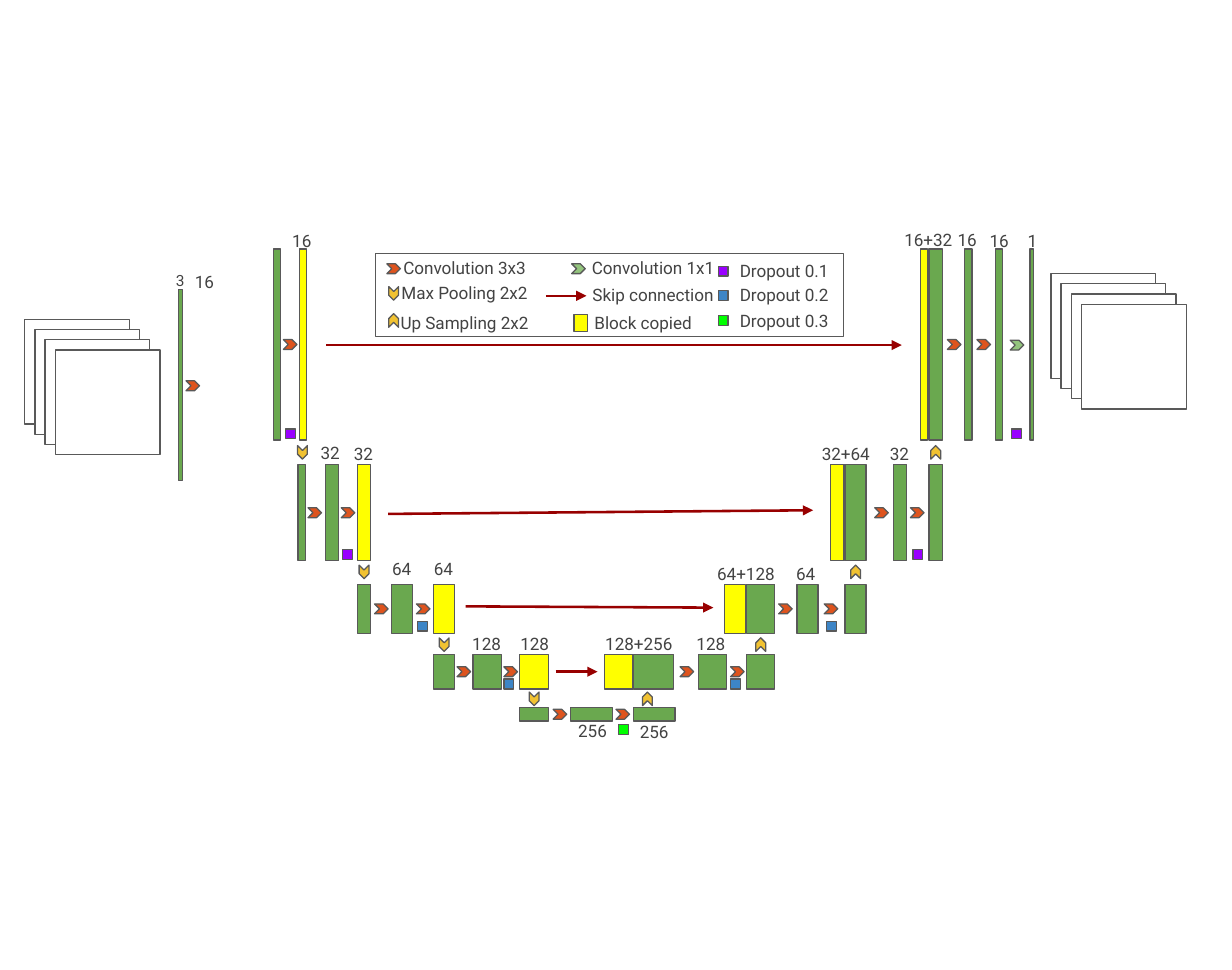
from pptx import Presentation
from pptx.util import Inches, Pt
from pptx.dml.color import RGBColor
from pptx.enum.shapes import MSO_SHAPE, MSO_CONNECTOR
from pptx.enum.text import MSO_ANCHOR, PP_ALIGN
from lxml import etree

HUES = {
    "green": "6AA84F", "yellow": "FFFF00", "orange": "DE541E", "gold": "F1C232",
    "light": "93C47D", "purple": "9900FF", "blue": "3D85C6", "lime": "00FF00",
    "white": "FFFFFF", "edge": "595959", "text": "434343", "skip": "980000",
}
FONT = "Roboto"
CHEV_W, CHEV_H, DOT = 0.11, 0.08, 0.08
LABEL_H = 0.23
LABEL_W = {1: 0.46, 2: 0.46, 3: 0.46, 5: 0.61, 6: 0.67, 7: 0.85}

# Network levels: blocks (left, width), convolutions (left), dropouts (left),
# labels (left, top, text)
LEVELS = [
    dict(top=2.02, high=1.55,
         green=[(2.22, 0.06), (7.54, 0.11), (7.83, 0.06), (8.08, 0.06), (8.36, 0.03)],
         yellow=[(2.43, 0.06), (7.47, 0.06)],
         convs=[2.3, 7.69, 7.93], drop=("purple", 3.48, [2.32, 8.21]),
         labels=[(2.22, 1.84, "16"), (7.23, 1.83, "16+32"), (7.62, 1.83, "16"),
                 (7.88, 1.84, "16"), (8.15, 1.84, "1")]),
    dict(top=3.77, high=0.78,
         green=[(2.42, 0.06), (2.64, 0.11), (6.86, 0.17), (7.25, 0.11), (7.54, 0.11)],
         yellow=[(2.9, 0.11), (6.74, 0.11)],
         convs=[2.5, 2.77, 7.1, 7.39], drop=("purple", 4.46, [2.78, 7.41]),
         labels=[(2.45, 3.56, "32"), (2.72, 3.57, "32"), (6.56, 3.57, "32+64"),
                 (7.07, 3.57, "32")]),
    dict(top=4.74, high=0.4,
         green=[(2.9, 0.11), (3.18, 0.17), (6.06, 0.23), (6.47, 0.17), (6.86, 0.17)],
         yellow=[(3.52, 0.17), (5.88, 0.17)],
         convs=[3.04, 3.38, 6.32, 6.69], drop=("blue", 5.04, [3.39, 6.71]),
         labels=[(3.03, 4.5, "64"), (3.37, 4.5, "64"), (5.72, 4.54, "64+128"),
                 (6.31, 4.54, "64")]),
    dict(top=5.31, high=0.28,
         green=[(3.52, 0.17), (3.84, 0.23), (5.14, 0.33), (5.67, 0.23), (6.06, 0.23)],
         yellow=[(4.22, 0.23), (4.91, 0.23)],
         convs=[3.71, 4.09, 5.52, 5.93], drop=("blue", 5.51, [4.09, 5.93]),
         labels=[(3.72, 5.11, "128"), (4.11, 5.11, "128"), (4.76, 5.11, "128+256"),
                 (5.54, 5.11, "128")]),
    dict(top=5.74, high=0.11,
         green=[(4.22, 0.23), (4.63, 0.34), (5.14, 0.34)],
         yellow=[], convs=[4.49, 5], drop=("lime", 5.88, [5.02]),
         labels=[(4.58, 5.81, "256"), (5.08, 5.82, "256")]),
]

# Steps between levels: top, left of pooling, left of up sampling
STEPS = [(3.63, 2.4, 7.54), (4.6, 2.9, 6.89), (5.19, 3.55, 6.12), (5.63, 4.28, 5.2)]

SKIPS = [(2.65, 2.8, 7.32, 2.8), (3.15, 4.17, 6.6, 4.14),
         (3.78, 4.92, 5.79, 4.93), (4.51, 5.45, 4.85, 5.45)]

# Legend: chevrons (left, top, colour, turn), dropouts, captions (left, top, width)
KEY_CHEVS = [(3.14, 2.14, "orange", 0), (3.14, 2.34, "gold", 90),
             (3.14, 2.56, "gold", 270), (4.64, 2.14, "light", 0)]
KEY_DOTS = ["purple", "blue", "lime"]
KEY_TEXT = [
    (3.08, 2.06, 1.38, "Convolution 3x3"), (3.08, 2.26, 1.38, "Max Pooling 2x2"),
    (3.08, 2.5, 1.38, "Up Sampling 2x2"), (4.61, 2.06, 1.38, "Convolution 1x1"),
    (4.61, 2.28, 1.38, "Skip connection"), (4.53, 2.5, 1.38, "Block copied"),
    (5.9, 2.08, 0.93, "Dropout 0.1"), (5.9, 2.28, 0.93, "Dropout 0.2"),
    (5.9, 2.49, 0.93, "Dropout 0.3"),
]

# Image stacks: left and top of the rearmost sheet
STACKS = [(0.2, 2.59), (8.53, 2.22)]
SHEET, SHIFT = 0.85, 0.083

deck = Presentation()
deck.slide_width, deck.slide_height = Inches(10), Inches(7.87)
slide = deck.slides.add_slide(deck.slide_layouts[6])
shapes = slide.shapes


def hue(name):
    return RGBColor.from_string(HUES[name])


def block(x, y, w, h, fill, kind=MSO_SHAPE.RECTANGLE):
    part = shapes.add_shape(kind, Inches(x), Inches(y), Inches(w), Inches(h))
    part.shadow.inherit = False
    part.fill.solid()
    part.fill.fore_color.rgb = hue(fill)
    part.line.color.rgb = hue("edge")
    part.line.width = Pt(0.75)
    return part


def chevron(x, y, fill="orange", turn=0):
    part = block(x, y, CHEV_W, CHEV_H, fill, MSO_SHAPE.CHEVRON)
    part.adjustments[0] = 0.5
    part.rotation = turn


def dot(x, y, fill):
    block(x, y, DOT, DOT, fill)


def arrow(x1, y1, x2, y2):
    link = shapes.add_connector(MSO_CONNECTOR.STRAIGHT, Inches(x1), Inches(y1),
                                Inches(x2), Inches(y2))
    link.line.color.rgb = hue("skip")
    link.line.width = Pt(1.5)
    props = link._element.spPr
    space = "{http://schemas.openxmlformats.org/drawingml/2006/main}"
    etree.SubElement(props.find(space + "ln"), space + "tailEnd", type="triangle")
    etree.SubElement(props, space + "effectLst")


def label(x, y, w, text, size=10):
    box = shapes.add_textbox(Inches(x), Inches(y), Inches(w), Inches(LABEL_H))
    frame = box.text_frame
    frame.word_wrap = True
    frame.vertical_anchor = MSO_ANCHOR.MIDDLE
    frame.margin_left = frame.margin_right = Inches(0.1)
    frame.margin_top = frame.margin_bottom = Inches(0.1)
    para = frame.paragraphs[0]
    para.alignment = PP_ALIGN.CENTER
    run = para.add_run()
    run.text = text
    run.font.size = Pt(size)
    run.font.name = FONT
    run.font.color.rgb = hue("text")


# Input block
block(1.45, 2.35, 0.03, 1.55, "green")
chevron(1.51, 3.09)
label(1.33, 2.16, 0.23, "3", 9)
label(1.43, 2.17, 0.46, "16")

# Levels of the network
for level in LEVELS:
    top, high = level["top"], level["high"]
    for fill in ("green", "yellow"):
        for x, w in level[fill]:
            block(x, top, w, high, fill)
    for x in level["convs"]:
        chevron(x, top + (high - CHEV_H) / 2)
    fill, y, lefts = level["drop"]
    for x in lefts:
        dot(x, y, fill)
    for x, y, text in level["labels"]:
        label(x, y, LABEL_W[len(text)], text)
chevron(8.2, 2.76, "light")

# Pooling, up sampling and skip connections
for y, down, up in STEPS:
    chevron(down, y, "gold", 90)
    chevron(up, y, "gold", 270)
for ends in SKIPS:
    arrow(*ends)

# Legend
block(3.05, 2.06, 3.8, 0.67, "white")
for item in KEY_CHEVS:
    chevron(*item)
arrow(4.43, 2.4, 4.76, 2.4)
block(4.66, 2.55, 0.11, 0.14, "yellow")
for i, fill in enumerate(KEY_DOTS):
    dot(5.83, 2.16 + 0.2 * i, fill)
for item in KEY_TEXT:
    label(*item)

# Input and output images
for x, y in STACKS:
    for i in range(4):
        block(x + SHIFT * i, y + SHIFT * i, SHEET, SHEET, "white")

deck.save("out.pptx")
